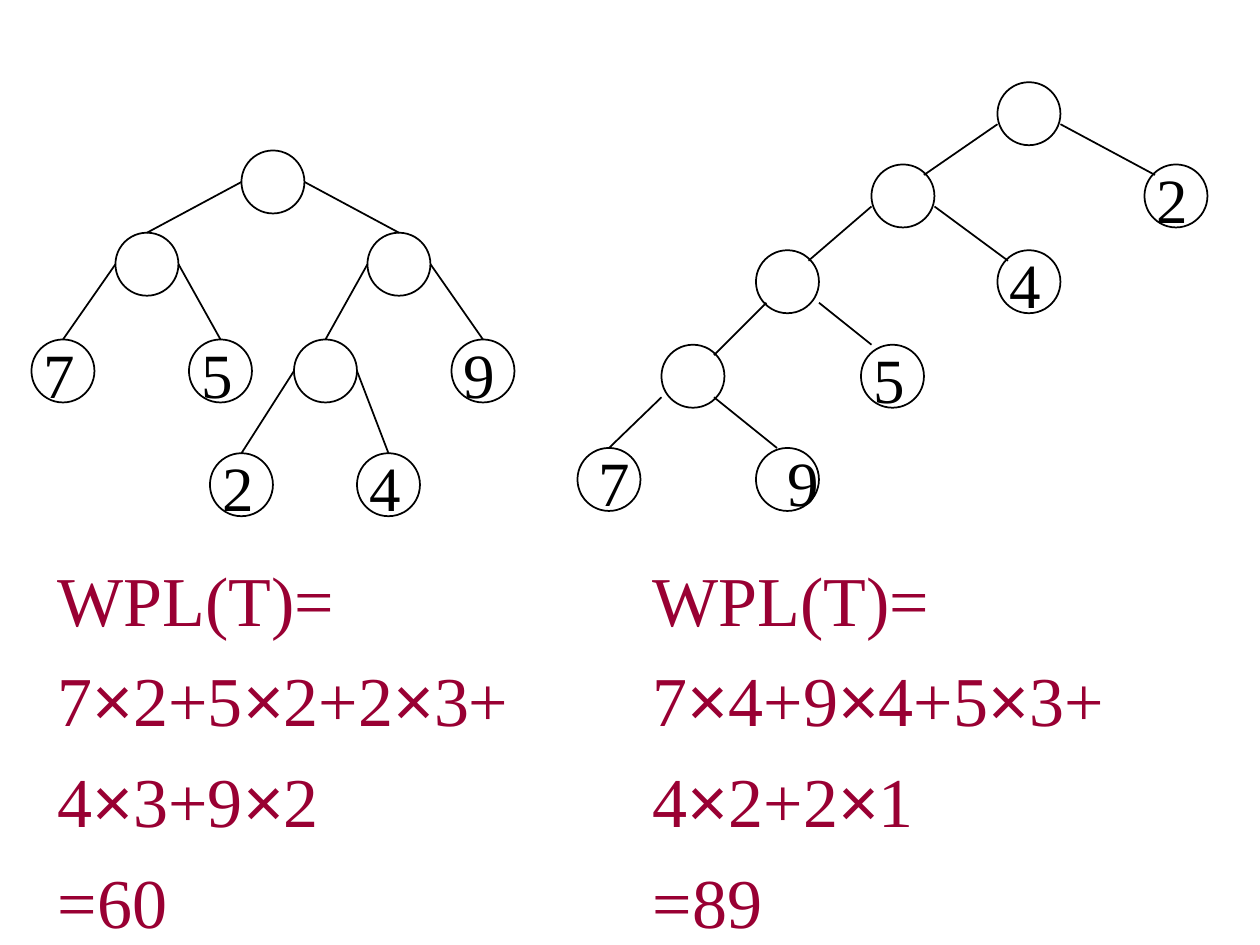
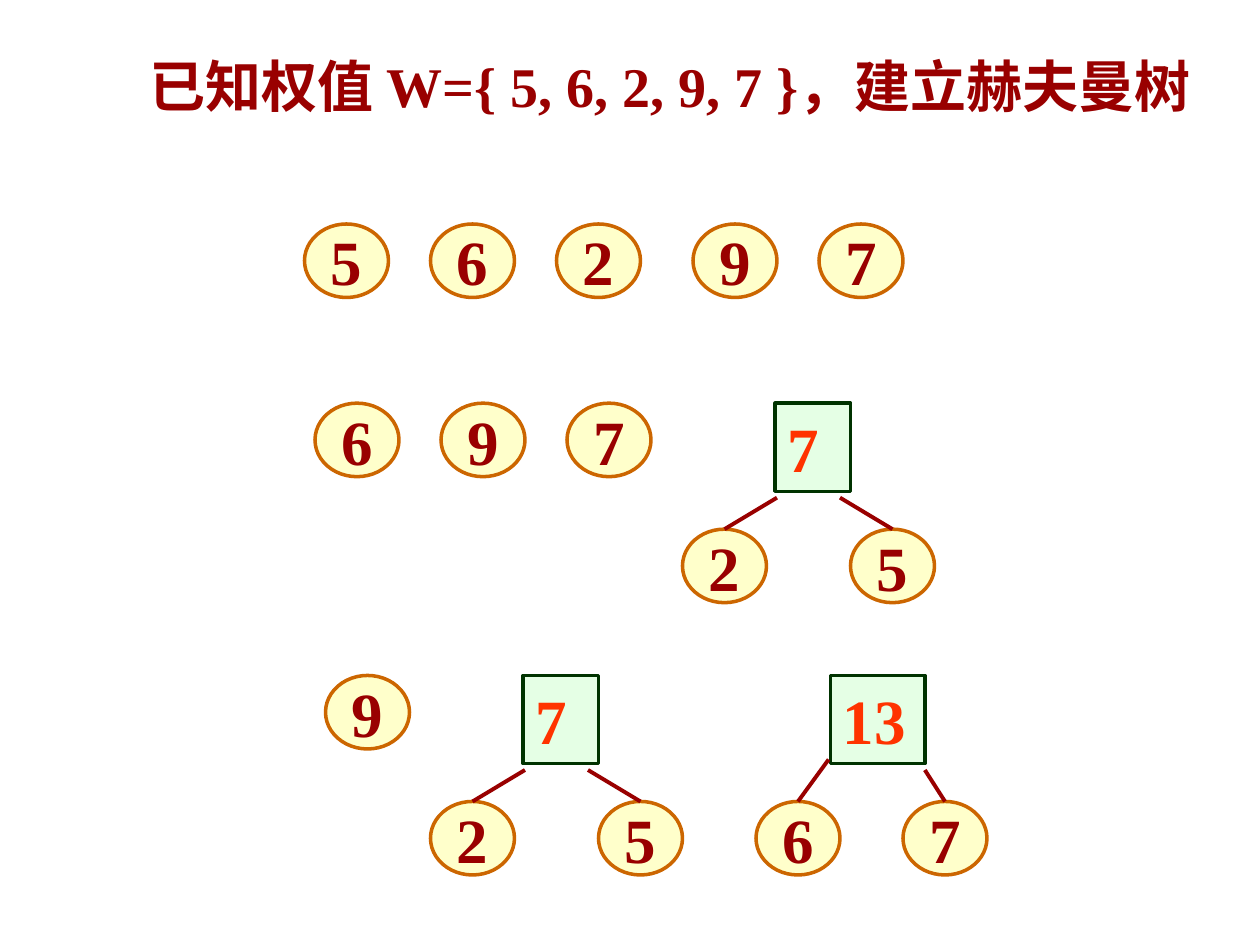
from itertools import groupby

from lxml.etree import SubElement
from pptx import Presentation
from pptx.dml.color import RGBColor
from pptx.enum.shapes import MSO_CONNECTOR as Link, MSO_SHAPE as Shape
from pptx.enum.text import MSO_ANCHOR as Anchor, PP_ALIGN as Align
from pptx.oxml.ns import qn
from pptx.util import Pt

SERIF, SANS, CJK = "Times New Roman", "Arial", "Noto Sans CJK SC"
BLACK, CRIMSON, DARK_RED, ORANGE_RED = "000000", "990033", "990000", "FF3300"
YELLOW, BROWN, MINT, DARK_GREEN = "FFFF99", "CC6600", "CCFFCC", "003300"
NODE = 36  # diameter of a plain tree node
WEIGHT_W, WEIGHT_H = 48, 42  # size of a weight oval


def color(value):
    return RGBColor.from_string(value)


class Deck:
    def __init__(self):
        self.prs = Presentation()
        self.prs.slide_width, self.prs.slide_height = Pt(720), Pt(540)
        self.slide = None

    def new_slide(self, layout):
        self.slide = self.prs.slides.add_slide(self.prs.slide_layouts[layout])

    def run(self, paragraph, text, size, ink, bold=False, font=SERIF):
        run = paragraph.add_run()
        run.text = text
        run.font.size, run.font.bold, run.font.name = Pt(size), bold, font
        run.font.color.rgb = color(ink)
        SubElement(run.font._element, qn("a:ea"), typeface=CJK)

    def title(self, parts, left, top, width, height):
        title = self.slide.shapes.title
        title.left, title.top = Pt(left), Pt(top)
        title.width, title.height = Pt(width), Pt(height)
        frame = title.text_frame
        frame.word_wrap, frame.vertical_anchor = False, Anchor.TOP
        paragraph = frame.paragraphs[0]
        paragraph.alignment = Align.LEFT
        for text, font in parts:
            self.run(paragraph, text, 32, DARK_RED, True, font)

    def shape(self, kind, left, top, width, height, line, weight, fill=None):
        shape = self.slide.shapes.add_shape(
            kind, Pt(left), Pt(top), Pt(width), Pt(height))
        shape.shadow.inherit = False
        shape.line.color.rgb, shape.line.width = color(line), Pt(weight)
        if fill:
            shape.fill.solid()
            shape.fill.fore_color.rgb = color(fill)
            tint = shape.fill._xPr.find(qn("a:solidFill"))[0]
            SubElement(tint, qn("a:alpha"), val="50000")
        else:
            shape.fill.background()
        return shape

    def node(self, left, top):
        return self.shape(Shape.OVAL, left, top, NODE, NODE, BLACK, 1)

    def weight(self, value, left, top):
        oval = self.shape(Shape.OVAL, left, top, WEIGHT_W, WEIGHT_H, BROWN, 2, YELLOW)
        frame = oval.text_frame
        frame.word_wrap, frame.vertical_anchor = False, Anchor.MIDDLE
        frame.paragraphs[0].alignment = Align.CENTER
        self.run(frame.paragraphs[0], str(value), 36, DARK_RED, True)
        return oval

    def sum_box(self, value, left, top, width):
        box = self.shape(Shape.RECTANGLE, left, top, width, 50.4, DARK_GREEN, 2, MINT)
        frame = box.text_frame
        frame.word_wrap, frame.vertical_anchor = True, Anchor.TOP
        frame.paragraphs[0].alignment = Align.LEFT
        self.run(frame.paragraphs[0], str(value), 36, ORANGE_RED, True)

    def edge(self, start, end, line=BLACK, weight=1, child=None):
        edge = self.slide.shapes.add_connector(
            Link.STRAIGHT, *(Pt(value) for value in (*start, *end)))
        edge.line.color.rgb, edge.line.width = color(line), Pt(weight)
        SubElement(edge._element.spPr, qn("a:effectLst"))
        if child is not None:
            edge.end_connect(child, 0)

    def text(self, left, top, width, height, wrap):
        box = self.slide.shapes.add_textbox(Pt(left), Pt(top), Pt(width), Pt(height))
        box.text_frame.word_wrap = wrap
        return box.text_frame

    def label(self, value, left, top):
        frame = self.text(left, top, 32.4, 50.4, False)
        self.run(frame.paragraphs[0], str(value), 36, BLACK)

    def formula(self, lines, left, width):
        frame = self.text(left, 304.6, width, 237.6, True)
        for index, line in enumerate(lines):
            paragraph = frame.add_paragraph() if index else frame.paragraphs[0]
            paragraph.line_spacing = Pt(57.6)
            for is_times, chars in groupby(line, lambda char: char == "×"):
                self.run(paragraph, "".join(chars), 40, CRIMSON,
                         font=SANS if is_times else SERIF)

    def merged_pair(self, total, left, top, width, children, starts):
        """Sum box with its two weights; offsets count from the box corner."""
        self.sum_box(total, left, top, width)
        for (value, dx), (start_x, start_y) in zip(children, starts):
            child_left, child_top = left + dx, top + 72
            oval = self.weight(value, child_left, child_top)
            self.edge((left + start_x, top + start_y),
                      (child_left + WEIGHT_W / 2, child_top), DARK_RED, 2.25, oval)


def path_length_slide(deck):
    deck.new_slide(6)

    # Balanced tree: node positions, leaf weights, parent with its two children
    balanced = {"root": (138, 86), "left": (66, 133), "right": (210, 133),
                "inner": (168, 194), "7": (18, 194), "5": (108, 194),
                "9": (258, 194), "2": (120, 259), "4": (204, 259)}
    families = {"root": ("left", "right"), "left": ("7", "5"),
                "right": ("inner", "9"), "inner": ("2", "4")}
    nodes = {key: deck.node(*place) for key, place in balanced.items()}
    for parent, children in families.items():
        x, y = balanced[parent]
        for child, side in zip(children, (0, NODE)):
            child_x, child_y = balanced[child]
            deck.edge((x + side, y + NODE / 2), (child_x + NODE / 2, child_y),
                      child=nodes[child])

    # Skewed tree: each edge gives its offsets inside parent and child
    skewed = {"root": (570, 47), "second": (498, 94), "third": (432, 143),
              "fourth": (378, 197), "2": (654, 94), "4": (570, 143),
              "5": (492, 197), "7": (330, 256), "9": (432, 256)}
    edges = [("root", (0, 24), "second", (30, 6)), ("root", (36, 24), "2", (6, 6)),
             ("second", (0, 24), "third", (30, 6)), ("second", (36, 24), "4", (6, 6)),
             ("third", (6, 30), "fourth", (30, 6)), ("third", (36, 30), "5", (6, 0)),
             ("fourth", (0, 30), "7", (18, 0)), ("fourth", (30, 30), "9", (12, 0))]
    for place in skewed.values():
        deck.node(*place)
    for parent, leave, child, arrive in edges:
        deck.edge([sum(pair) for pair in zip(skewed[parent], leave)],
                  [sum(pair) for pair in zip(skewed[child], arrive)])

    # Leaf weights, the last two of the skewed tree set further right
    for tree, shifts in ((balanced, {}), (skewed, {"7": 5, "9": 11})):
        for key, (x, y) in tree.items():
            if key.isdigit():
                deck.label(key, x + shifts.get(key, 0), y - 6)

    # Weighted path lengths
    deck.formula(["WPL(T)=", "7×2+5×2+2×3+", "4×3+9×2", "=60"], 26, 274)
    deck.formula(["WPL(T)=", "7×4+9×4+5×3+", "4×2+2×1", "=89"], 366, 282)


def huffman_slide(deck):
    deck.new_slide(5)
    deck.title([("已知权值 ", CJK), ("W={ 5, 6, 2, 9, 7 }，建立赫夫曼树", SERIF)],
               78, 26, 634, 46)

    # Weights still unmerged at each step
    steps = [(128, {174: 5, 246: 6, 318: 2, 396: 9, 468: 7}),
             (230.4, {180: 6, 252: 9, 324: 7}),
             (386, {186: 9})]
    for top, weights in steps:
        for left, value in weights.items():
            deck.weight(value, left, top)

    # Merged pairs
    for left, top in ((443, 230.4), (299, 386)):
        deck.merged_pair(7, left, top, 43, [(2, -53), (5, 43)], [(1, 54), (37, 54)])
    deck.merged_pair(13, 474.5, 386, 54, [(6, -42.5), (7, 41.5)], [(-1, 48), (54, 54)])


def main():
    deck = Deck()
    path_length_slide(deck)
    huffman_slide(deck)
    deck.prs.save("out.pptx")


if __name__ == "__main__":
    main()
